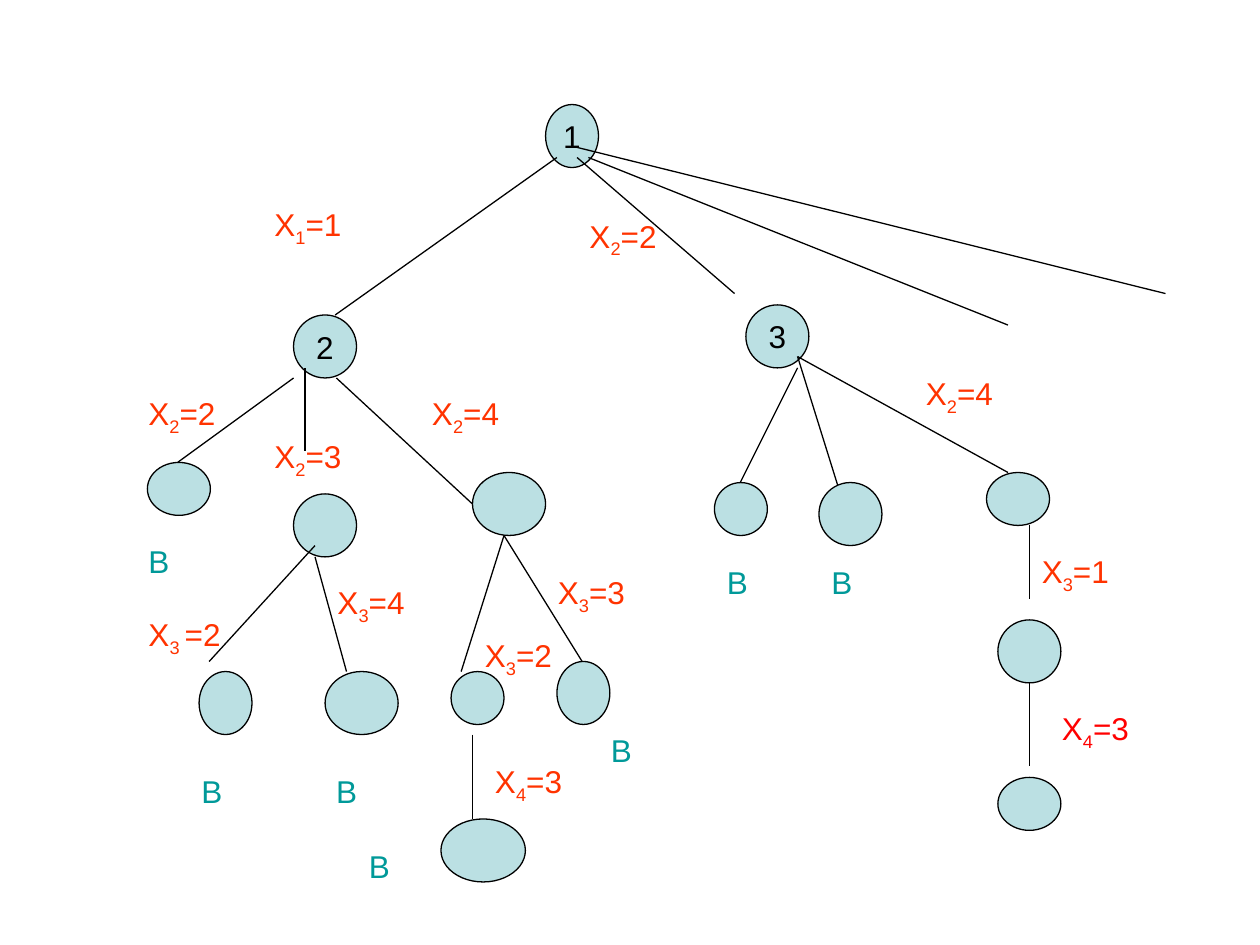
import pptx
import pptx.util
import pptx.dml.color
import pptx.enum.shapes
import pptx.enum.text
import lxml.etree
from pptx.util import Inches

COLORS = {"node": "BBE0E3", "ink": "000000", "choice": "FF3300", "last": "FF0000", "bound": "009999"}


def rgb(name):
    return pptx.dml.color.RGBColor.from_string(COLORS[name])


def add_run(p, text, color, baseline=0):
    r = p.add_run()
    r.text = text
    r.font.name = "Arial"
    r.font.size = pptx.util.Pt(18)
    r.font.color.rgb = rgb(color)
    if baseline:
        r._r.get_or_add_rPr().set("baseline", str(baseline))


levels = [
    {"edges": [], "nodes": [(4.33, 0.83, 0.42, 0.5, "1")]},
    {
        "edges": [
            (4.42, 1.25, 2.66, 2.5),
            (4.67, 1.25, 8, 2.58),
            (4.58, 1.17, 9.25, 2.33),
            (4.58, 1.25, 5.83, 2.33),
        ],
        "nodes": [(2.33, 2.5, 0.5, 0.5, "2"), (5.92, 2.42, 0.5, 0.5, "3")],
    },
    {
        "edges": [
            (2.33, 3, 1.41, 3.67),
            (2.42, 2.92, 2.42, 3.58),
            (2.67, 3, 3.75, 4),
            (6.33, 2.92, 5.83, 3.92),
            (6.33, 2.83, 6.67, 3.92),
            (6.33, 2.83, 8, 3.75),
        ],
        "nodes": [
            (1.17, 3.67, 0.5, 0.42, ""),
            (2.33, 3.92, 0.5, 0.5, ""),
            (3.75, 3.75, 0.58, 0.5, ""),
            (5.67, 3.83, 0.42, 0.42, ""),
            (6.5, 3.83, 0.5, 0.5, ""),
            (7.83, 3.75, 0.5, 0.42, ""),
        ],
    },
    {
        "edges": [
            (2.5, 4.33, 1.66, 5.25),
            (2.5, 4.42, 2.75, 5.33),
            (4, 4.25, 3.66, 5.33),
            (4, 4.25, 4.67, 5.33),
            (8.17, 4.17, 8.17, 4.75),
        ],
        "nodes": [
            (1.58, 5.33, 0.42, 0.5, ""),
            (2.58, 5.33, 0.58, 0.5, ""),
            (3.58, 5.33, 0.42, 0.42, ""),
            (4.42, 5.25, 0.42, 0.5, ""),
            (7.92, 4.92, 0.5, 0.5, ""),
        ],
    },
    {
        "edges": [(3.75, 5.83, 3.75, 6.5), (8.17, 5.42, 8.17, 6.08)],
        "nodes": [(3.5, 6.5, 0.67, 0.5, ""), (7.92, 6.17, 0.5, 0.42, "")],
    },
]

choices = [
    (2.08, 1.58, 1, "1", "=1", "choice"),
    (4.58, 1.67, 0.92, "2", "=2", "choice"),
    (1.08, 3.08, 0.83, "2", "=2", "choice"),
    (2.08, 3.42, 0.83, "2", "=3", "choice"),
    (3.33, 3.08, 0.75, "2", "=4", "choice"),
    (7.25, 2.92, 1.08, "2", "=4", "choice"),
    (1.08, 4.83, 0.92, "3 ", "=2", "choice"),
    (2.58, 4.58, 0.92, "3", "=4", "choice"),
    (3.75, 5, 0.75, "3", "=2", "choice"),
    (4.33, 4.5, 0.83, "3", "=3", "choice"),
    (8.17, 4.33, 1, "3", "=1", "choice"),
    (3.83, 6, 0.92, "4", "=3", "choice"),
    (8.33, 5.58, 0.83, "4", "=3", "last"),
]

bounds = [(1.08, 4.25), (1.5, 6.08), (2.57, 6.08), (2.83, 6.67), (4.75, 5.75), (5.67, 4.42), (6.5, 4.42)]

prs = pptx.Presentation()
prs.slide_width = Inches(10)
prs.slide_height = Inches(7.5)
s = prs.slides.add_slide(prs.slide_layouts[6])

for level in levels:
    for edge in level["edges"]:
        line = s.shapes.add_connector(pptx.enum.shapes.MSO_CONNECTOR.STRAIGHT, *map(Inches, edge))
        line.line.color.rgb = rgb("ink")
        line.line.width = pptx.util.Pt(0.75)
        lxml.etree.SubElement(line._element.spPr, pptx.oxml.ns.qn("a:effectLst"))
    for *box, number in level["nodes"]:
        sp = s.shapes.add_shape(pptx.enum.shapes.MSO_SHAPE.OVAL, *map(Inches, box))
        sp.shadow.inherit = False
        sp.fill.solid()
        sp.fill.fore_color.rgb = rgb("node")
        sp.line.color.rgb = rgb("ink")
        sp.line.width = pptx.util.Pt(0.75)
        if number:
            tf = sp.text_frame
            tf.word_wrap = False
            tf.vertical_anchor = pptx.enum.text.MSO_ANCHOR.MIDDLE
            p = tf.paragraphs[0]
            p.alignment = pptx.enum.text.PP_ALIGN.CENTER
            add_run(p, number, "ink")

for x, y, w, index, value, color in choices:
    tf = s.shapes.add_textbox(Inches(x), Inches(y), Inches(w), Inches(0.44)).text_frame
    tf.word_wrap = True
    p = tf.paragraphs[0]
    add_run(p, "X", color)
    add_run(p, index, color, -25000)
    add_run(p, value, color)

for x, y in bounds:
    tf = s.shapes.add_textbox(Inches(x), Inches(y), Inches(0.5), Inches(0.4)).text_frame
    tf.word_wrap = True
    add_run(tf.paragraphs[0], "B", "bound")

prs.save("out.pptx")
